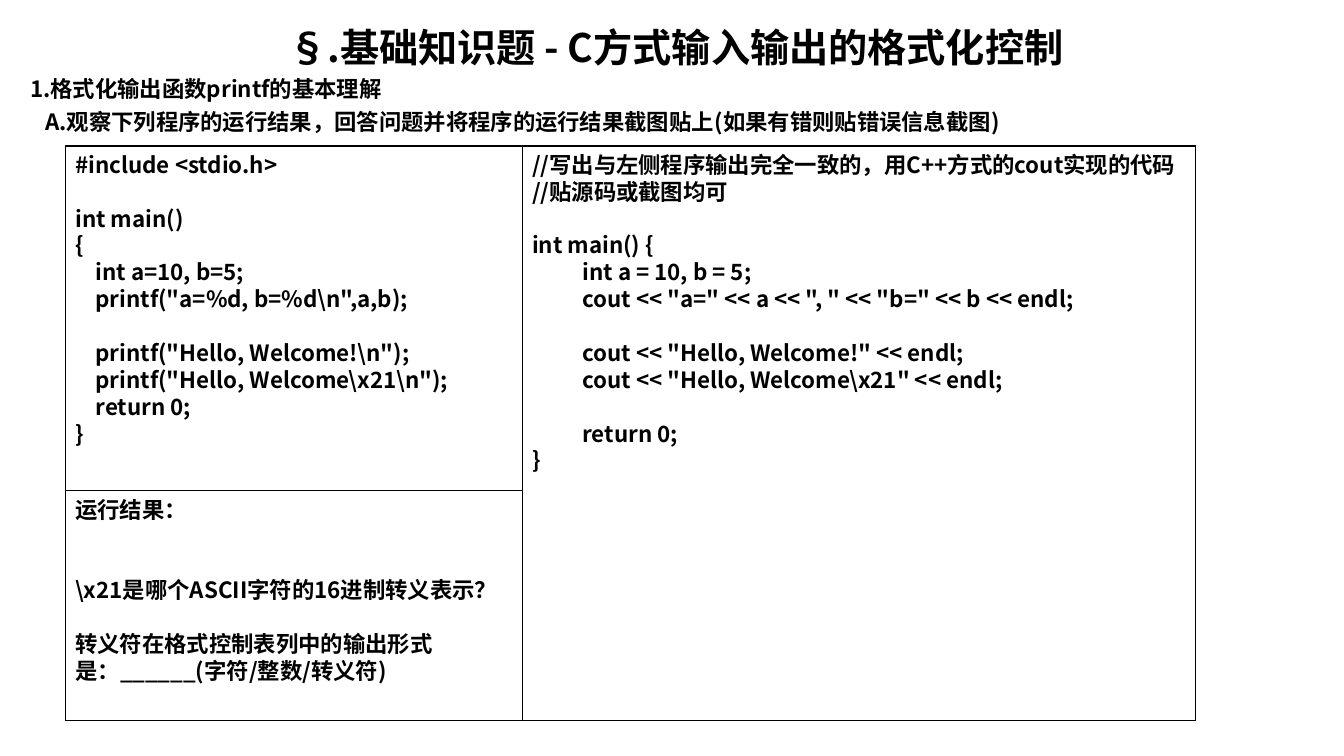
from lxml.etree import SubElement
from pptx import Presentation
from pptx.dml.color import RGBColor
from pptx.enum.shapes import MSO_SHAPE
from pptx.enum.text import MSO_ANCHOR, PP_ALIGN
from pptx.oxml.ns import qn
from pptx.util import Cm, Pt

BLACK = RGBColor(0, 0, 0)
FONT = "Noto Sans CJK SC"
BODY_SIZE = 16
TITLE_SIZE = 28
LINE_RATIO = 1.2

FRAME_LEFT, FRAME_TOP = 1.65, 3.68
FRAME_WIDTH, FRAME_HEIGHT = 28.47, 14.48
DIVIDER_X, DIVIDER_Y = 13.16, 12.37
FRAME_RIGHT = FRAME_LEFT + FRAME_WIDTH
FRAME_BOTTOM = FRAME_TOP + FRAME_HEIGHT

TITLE = "§.基础知识题 - C方式输入输出的格式化控制"
SECTION = "1.格式化输出函数printf的基本理解"
TASK = "A.观察下列程序的运行结果，回答问题并将程序的运行结果截图贴上(如果有错则贴错误信息截图)"

PRINTF_CODE = [
    (0, "#include <stdio.h>"),
    (1, "int main()"),
    (0, "{"),
    (0, "    int a=10, b=5;"),
    (0, r'    printf("a=%d, b=%d\n",a,b);'),
    (1, r'    printf("Hello, Welcome!\n");'),
    (0, r'    printf("Hello, Welcome\x21\n");'),
    (0, "    return 0;"),
    (0, "}"),
]
QUESTIONS = [
    (0, "运行结果："),
    (2, r"\x21是哪个ASCII字符的16进制转义表示？"),
    (1, "转义符在格式控制表列中的输出形式"),
    (0, "是：______(字符/整数/转义符)"),
]
COUT_CODE = [
    (0, "//写出与左侧程序输出完全一致的，用C++方式的cout实现的代码"),
    (0, "//贴源码或截图均可"),
    (1, "int main() {"),
    (0, "\tint a = 10, b = 5;"),
    (0, '\tcout << "a=" << a << ", " << "b=" << b << endl;'),
    (1, '\tcout << "Hello, Welcome!" << endl;'),
    (0, '\tcout << "Hello, Welcome\\x21" << endl;'),
    (1, "\treturn 0;"),
    (0, "}"),
]


def add_line(frame, text, size=BODY_SIZE, gap=0, align=PP_ALIGN.LEFT, indent=0):
    first = frame.paragraphs[0]
    line = frame.add_paragraph() if first.runs else first
    line.alignment = align
    line.line_spacing = Pt(size * LINE_RATIO)
    if gap:
        line.space_before = Pt(gap * size * LINE_RATIO)
    if indent:
        line._p.get_or_add_pPr().set("marL", str(Cm(indent)))
    run = line.add_run()
    run.text = text
    run.font.size = Pt(size)
    run.font.bold = True
    run.font.name = FONT
    run.font.color.rgb = BLACK
    SubElement(run._r.get_or_add_rPr(), qn("a:ea")).set("typeface", FONT)


def prepare_frame(frame):
    frame.word_wrap = True
    frame.vertical_anchor = MSO_ANCHOR.TOP
    frame.margin_right = Cm(0.2)


def add_panel(slide, left, top, right, bottom, lines):
    panel = slide.shapes.add_shape(
        MSO_SHAPE.RECTANGLE, Cm(left), Cm(top), Cm(right - left), Cm(bottom - top))
    panel.shadow.inherit = False
    panel.fill.background()
    panel.line.color.rgb = BLACK
    panel.line.width = Pt(0.75)
    prepare_frame(panel.text_frame)
    for gap, text in lines:
        add_line(panel.text_frame, text, gap=gap)


def add_heading(slide):
    heading = slide.shapes.add_textbox(Cm(0.51), Cm(0.46), Cm(32.99), Cm(18))
    frame = heading.text_frame
    prepare_frame(frame)
    add_line(frame, TITLE, size=TITLE_SIZE, align=PP_ALIGN.CENTER)
    add_line(frame, SECTION, gap=0.2)
    add_line(frame, TASK, gap=0.2, indent=0.38)


def main():
    deck = Presentation()
    deck.slide_width, deck.slide_height = Cm(33.87), Cm(19.05)
    slide = deck.slides.add_slide(deck.slide_layouts[6])
    add_heading(slide)
    add_panel(slide, FRAME_LEFT, FRAME_TOP, FRAME_RIGHT, FRAME_BOTTOM, PRINTF_CODE)
    add_panel(slide, FRAME_LEFT, DIVIDER_Y, DIVIDER_X, FRAME_BOTTOM, QUESTIONS)
    add_panel(slide, DIVIDER_X, FRAME_TOP, FRAME_RIGHT, FRAME_BOTTOM, COUT_CODE)
    deck.save("out.pptx")


if __name__ == "__main__":
    main()
